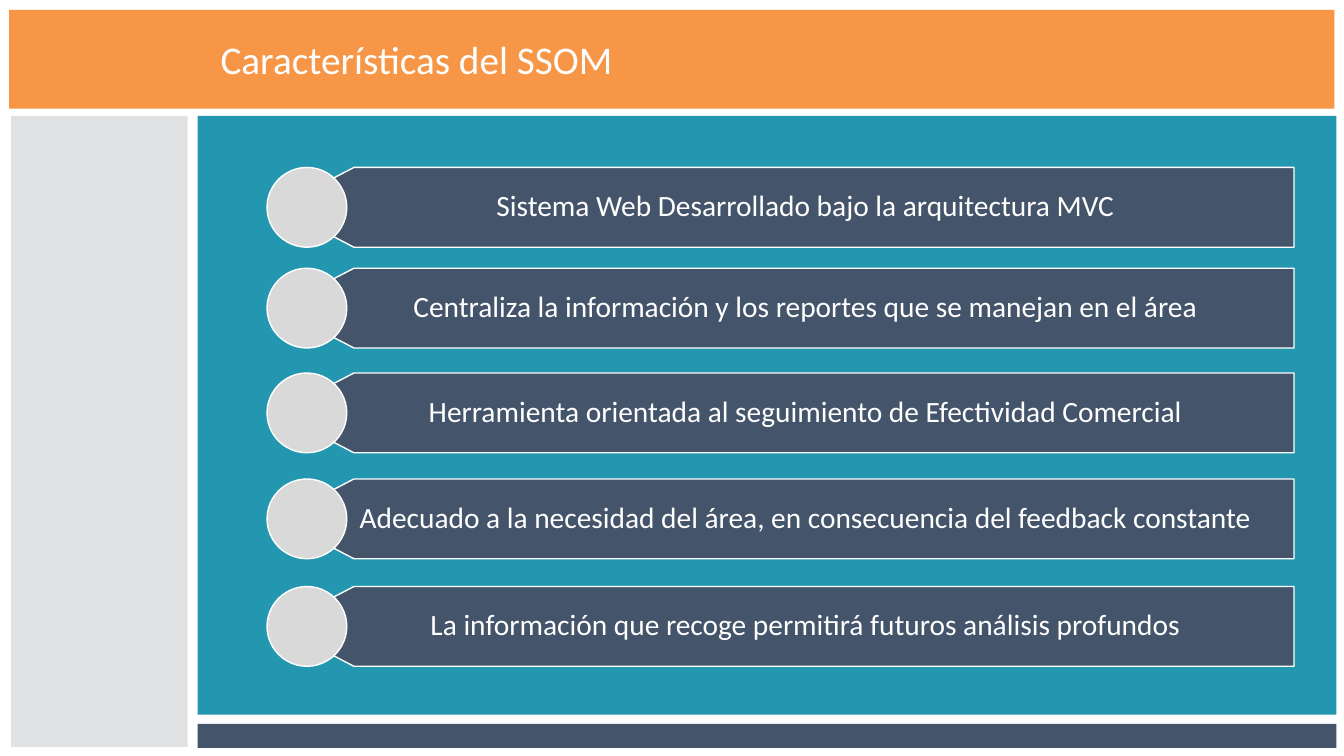
from pptx import Presentation
from pptx.dml.color import RGBColor
from pptx.enum.shapes import MSO_SHAPE
from pptx.enum.text import MSO_ANCHOR, PP_ALIGN
from pptx.util import Cm, Pt

WHITE, NAVY, TEAL = "FFFFFF", "44546A", "2397B0"
ORANGE, GRAY, SILVER = "F79646", "DFE1E2", "D9D9D9"

# Top of each row in cm, with its text
ROWS = [
    (4.22, "Sistema Web Desarrollado bajo la arquitectura MVC"),
    (6.76, "Centraliza la información y los reportes que se manejan en el área"),
    (9.4, "Herramienta orientada al seguimiento de Efectividad Comercial"),
    (12.07, "Adecuado a la necesidad del área, en consecuencia del feedback constante"),
    (14.78, "La información que recoge permitirá futuros análisis profundos"),
]
SIZE = 2.01


def color(code):
    return RGBColor.from_string(code)


def paint(shape, fill, line=None):
    shape.shadow.inherit = False
    shape.fill.solid()
    shape.fill.fore_color.rgb = color(fill)
    if line:
        shape.line.color.rgb = color(line)
        shape.line.width = Pt(1)
    else:
        shape.line.fill.background()


def add_panel(slide, left, top, width, height, fill):
    panel = slide.shapes.add_shape(
        MSO_SHAPE.RECTANGLE, Cm(left), Cm(top), Cm(width), Cm(height))
    paint(panel, fill)
    return panel


def add_text(shape, text, size, align, left, right):
    frame = shape.text_frame
    frame.word_wrap = True
    frame.vertical_anchor = MSO_ANCHOR.MIDDLE
    frame.margin_left, frame.margin_right = Cm(left), Cm(right)
    frame.margin_top = frame.margin_bottom = Cm(0.23)
    para = frame.paragraphs[0]
    para.text = text
    para.alignment = align
    para.font.name = "Calibri"
    para.font.size = Pt(size)
    para.font.color.rgb = color(WHITE)
    return para


def add_row(slide, top, text):
    # Band with a pointed left end
    tip, neck, end = Cm(6.99), Cm(8.92), Cm(32.61)
    high, mid, low = Cm(top), Cm(top + SIZE / 2), Cm(top + SIZE)
    pen = slide.shapes.build_freeform(end, low)
    pen.add_line_segments(
        [(neck, low), (tip, mid), (neck, high), (end, high)], close=True)
    band = pen.convert_to_shape()
    paint(band, NAVY, WHITE)
    para = add_text(band, text, 21, PP_ALIGN.CENTER, 1.4, 0.41)
    para.line_spacing = 0.9

    # Disc over the point
    disc = slide.shapes.add_shape(
        MSO_SHAPE.OVAL, Cm(6.73), Cm(top), Cm(SIZE), Cm(SIZE))
    paint(disc, SILVER, WHITE)


def main():
    deck = Presentation()
    deck.slide_width, deck.slide_height = Cm(33.87), Cm(19.05)
    slide = deck.slides.add_slide(deck.slide_layouts[6])

    # Background panels and title
    add_panel(slide, 4.98, 2.92, 28.7, 15.09, TEAL)
    title = add_panel(slide, 0.23, 0.25, 33.4, 2.49, ORANGE)
    add_text(title, "Características del SSOM", 28, PP_ALIGN.LEFT, 5.33, 0.25)
    add_panel(slide, 0.28, 2.92, 4.45, 15.9, GRAY)
    add_panel(slide, 4.98, 18.24, 28.7, 0.61, NAVY)

    # List of features
    for top, text in ROWS:
        add_row(slide, top, text)

    deck.save("out.pptx")


if __name__ == "__main__":
    main()
